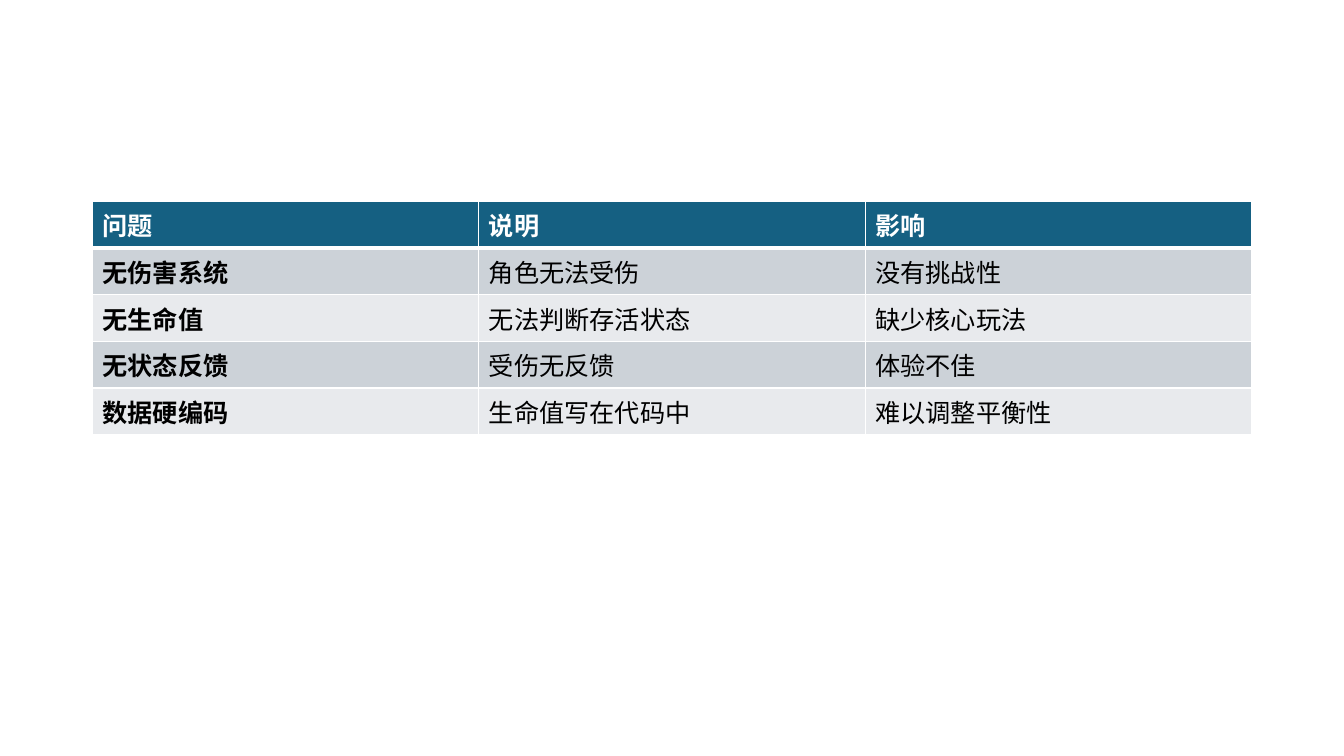
from lxml import etree
from pptx import Presentation
from pptx.dml.color import RGBColor
from pptx.enum import text
from pptx.oxml import ns
from pptx.util import Pt


def hue(code):
    return RGBColor.from_string(code)


def write(cell, words, size=18, color="000000", bold=False):
    cell.vertical_anchor = text.MSO_ANCHOR.MIDDLE
    run = cell.text_frame.paragraphs[0].add_run()
    run.text = words
    run.font.name = "Karla"
    run.font.size = Pt(size)
    run.font.bold = bold
    run.font.color.rgb = hue(color)


deck = Presentation()
deck.slide_width, deck.slide_height = Pt(960), Pt(540)
slide = deck.slides.add_slide(deck.slide_layouts[6])

rows = [
    ("问题", "说明", "影响"),
    ("无伤害系统", "角色无法受伤", "没有挑战性"),
    ("无生命值", "无法判断存活状态", "缺少核心玩法"),
    ("无状态反馈", "受伤无反馈", "体验不佳"),
    ("数据硬编码", "生命值写在代码中", "难以调整平衡性"),
]
table = slide.shapes.add_table(
    len(rows), 3, Pt(66), Pt(144), Pt(828), Pt(146)
).table

for r, row in enumerate(rows):
    table.rows[r].height = Pt(29.2)
    head = r == 0
    fill = "156082" if head else ("E8EAED", "CCD2D8")[r % 2]
    for c, words in enumerate(row):
        cell = table.cell(r, c)
        write(cell, words, color="FFFFFF" if head else "000000",
              bold=head or c == 0)
        widths = {"lnL": 1, "lnR": 1, "lnT": 3 if r == 1 else 1,
                  "lnB": 3 if head else 1}
        props = cell._tc.get_or_add_tcPr()
        for side, width in widths.items():
            line = etree.SubElement(props, ns.qn("a:" + side), w=str(Pt(width)))
            paint = etree.SubElement(line, ns.qn("a:solidFill"))
            etree.SubElement(paint, ns.qn("a:srgbClr"), val="FFFFFF")
        cell.fill.solid()
        cell.fill.fore_color.rgb = hue(fill)

deck.save("out.pptx")
